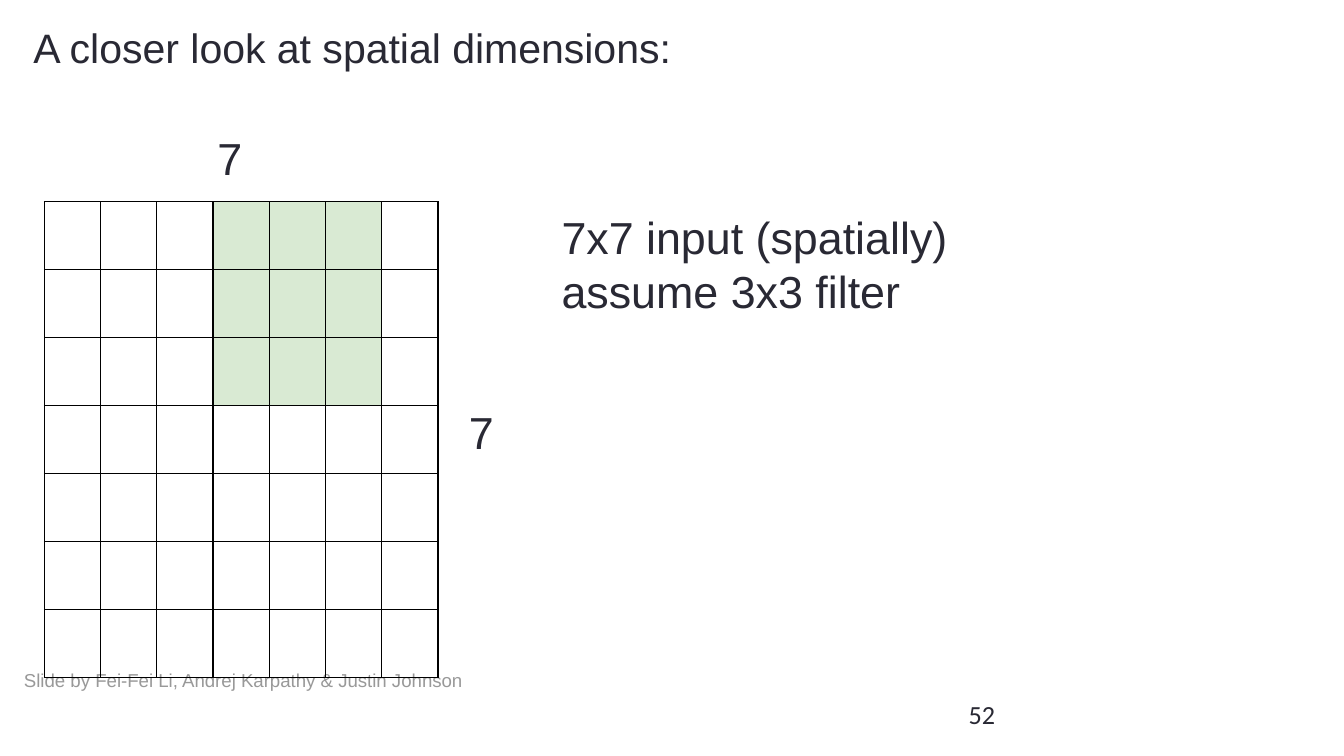
from dataclasses import dataclass

from lxml.etree import SubElement
from pptx import Presentation
from pptx.dml.color import RGBColor
from pptx.enum.text import MSO_ANCHOR as Anchor
from pptx.oxml.ns import qn
from pptx.slide import Slide
from pptx.table import _Cell as Cell
from pptx.util import Inches, Pt

INK = "292934"
GRID_SIZE = 7
FILTER_ROWS = range(0, 3)
FILTER_COLUMNS = range(3, 6)


@dataclass
class Label:
    lines: list[str]
    left: float
    top: float
    width: float
    height: float
    size: int = 24
    font: str = "Arial"
    color: str = INK
    anchor: Anchor = Anchor.TOP


CREDIT = "Slide by Fei-Fei Li, Andrej Karpathy & Justin Johnson"
LABELS = [
    Label([CREDIT], 0.08, 4.85, 3.61, 0.42, 10, color="999999", anchor=Anchor.MIDDLE),
    Label(["52"], 7.11, 5.1, 0.6, 0.43, 14, "Calibri", anchor=Anchor.MIDDLE),
    Label(["7x7 input (spatially)", "assume 3x3 filter"], 4.08, 1.46, 5.6, 2.01),
    Label(["7"], 1.52, 0.87, 0.6, 0.5),
    Label(["7"], 3.39, 2.91, 0.64, 0.31),
    Label(["A closer look at spatial dimensions:"], 0.15, 0.07, 9.16, 0.66, 22),
]


def rgb(color: str) -> RGBColor:
    return RGBColor.from_string(color)


def add_label(slide: Slide, label: Label) -> None:
    box = slide.shapes.add_textbox(
        *(Inches(value) for value in (label.left, label.top, label.width, label.height))
    )
    frame = box.text_frame
    margins = {f"margin_{side}": Inches(0.1) for side in ("left", "top", "right", "bottom")}
    frame_format = {"word_wrap": True, "vertical_anchor": label.anchor, **margins}
    for name, value in frame_format.items():
        setattr(frame, name, value)
    frame.text = "\n".join(label.lines)
    for paragraph in frame.paragraphs:
        for name, value in {"size": Pt(label.size), "name": label.font}.items():
            setattr(paragraph.font, name, value)
        paragraph.font.color.rgb = rgb(label.color)


def add_borders(cell: Cell) -> None:
    properties = cell._tc.get_or_add_tcPr()
    for tag in ("a:lnL", "a:lnR", "a:lnT", "a:lnB"):
        line = SubElement(properties, qn(tag), w=str(Pt(0.75)))
        fill = SubElement(line, qn("a:solidFill"))
        SubElement(fill, qn("a:srgbClr"), val="000000")


def fill_cell(cell: Cell, row: int, column: int) -> None:
    """Shade the filter window, keep its rows white and the rows below clear."""
    if row not in FILTER_ROWS:
        cell.fill.background()
        return
    cell.fill.solid()
    cell.fill.fore_color.rgb = rgb("D9EAD3" if column in FILTER_COLUMNS else "FFFFFF")


def add_input_grid(slide: Slide) -> None:
    table = slide.shapes.add_table(
        GRID_SIZE, GRID_SIZE, Inches(0.33), Inches(1.5), Inches(2.93), Inches(3.54)
    ).table
    for name in ("first_row", "horz_banding"):
        setattr(table, name, False)
    for row in range(GRID_SIZE):
        for column in range(GRID_SIZE):
            cell = table.cell(row, column)
            add_borders(cell)
            fill_cell(cell, row, column)


def main() -> None:
    presentation = Presentation()
    presentation.slide_width = Inches(10)
    presentation.slide_height = Inches(10 * 9 / 16)
    slide = presentation.slides.add_slide(presentation.slide_layouts[6])
    for label in LABELS:
        add_label(slide, label)
    add_input_grid(slide)
    presentation.save("out.pptx")


if __name__ == "__main__":
    main()
